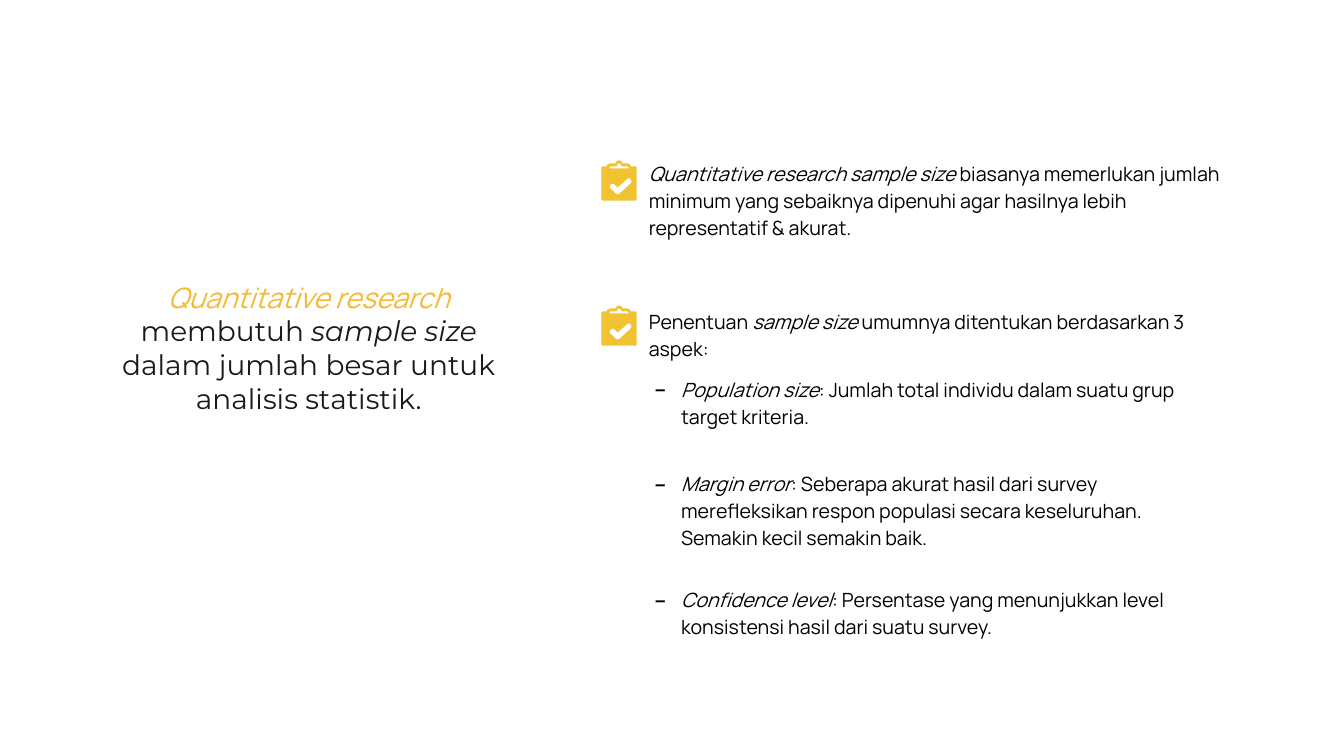
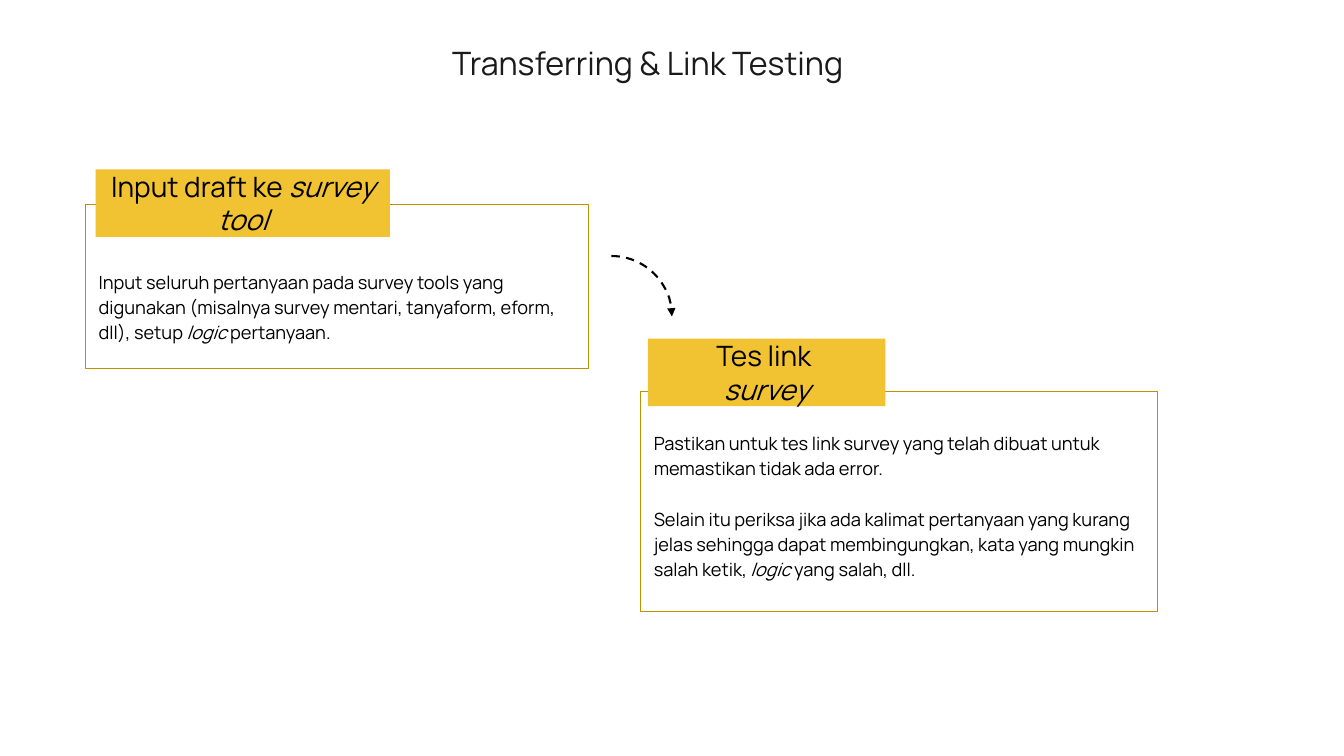
from dataclasses import dataclass

from lxml.etree import SubElement
from pptx import Presentation
from pptx.dml.color import RGBColor
from pptx.enum.dml import MSO_LINE
from pptx.enum.shapes import MSO_SHAPE
from pptx.enum.text import MSO_ANCHOR, MSO_AUTO_SIZE, PP_ALIGN
from pptx.oxml.ns import qn
from pptx.util import Pt

PX = 9144
SLIDE_SIZE = (1334, 750)


@dataclass(frozen=True)
class TextStyle:
    font: str
    size: int
    color: str
    align: PP_ALIGN = PP_ALIGN.LEFT
    spacing: float = 1.0


@dataclass(frozen=True)
class Theme:
    yellow: str = "F1C232"
    border: str = "BF9000"
    black: str = "000000"
    lead: TextStyle = TextStyle("Manrope", 20, "F5B932", PP_ALIGN.CENTER)
    statement: TextStyle = TextStyle("Montserrat", 20, "191919", PP_ALIGN.CENTER)
    heading: TextStyle = TextStyle("Manrope", 23, "1A1A1A", PP_ALIGN.CENTER)
    tag: TextStyle = TextStyle("Manrope", 20, "000000", PP_ALIGN.CENTER)
    body: TextStyle = TextStyle("Manrope", 14, "000000", spacing=1.15)
    panel: TextStyle = TextStyle("Manrope", 13, "000000", spacing=1.15)


THEME = Theme()

STATEMENT = [
    ("*Quantitative research*", THEME.lead),
    ("membutuh *sample size* dalam jumlah besar untuk analisis statistik.", THEME.statement),
]
STATEMENT_BOX = (103, 278, 407, 133)

POINTS = [
    ("*Quantitative research sample size* biasanya memerlukan jumlah minimum "
     "yang sebaiknya dipenuhi agar hasilnya lebih representatif & akurat.",
     (637, 150, 593, 94), (597, 159)),
    ("Penentuan *sample size *umumnya ditentukan berdasarkan 3 aspek:",
     (637, 297, 593, 67), (597, 303)),
]

ASPECTS = [
    ("*Population size*: Jumlah total individu dalam suatu grup target kriteria.", 0),
    ("*Margin error*: Seberapa akurat hasil dari survey merefleksikan respon "
     "populasi secara keseluruhan. Semakin kecil semakin baik.", 29),
    ("*Confidence level*: Persentase yang menunjukkan level konsistensi hasil "
     "dari suatu survey.", 25),
]
ASPECTS_BOX = (615, 364, 593, 276)
BULLET_INDENT = (54, -27)

CLIPBOARD = [
    [(17, 0), (15, 1), (14, 3), (9, 3), (6, 4), (5, 6), (1, 6), (0, 7), (0, 39),
     (1, 40), (34, 40), (35, 39), (35, 7), (34, 6), (29, 6), (28, 4), (25, 3),
     (21, 3), (20, 1)],
    [(17, 3), (19, 4), (20, 6), (26, 6), (27, 7), (27, 8), (8, 8), (8, 7), (9, 6),
     (15, 6), (16, 4)],
    [(26, 18), (28, 18), (29, 19), (30, 21), (29, 23), (18, 33), (16, 34), (14, 33),
     (9, 28), (8, 26), (9, 24), (11, 23), (13, 24), (16, 27), (25, 19)],
]

HEADING = "Transferring & Link Testing "
HEADING_BOX = (218, 43, 857, 38)

STEPS = [
    {
        "tag": ["Input draft ke *survey tool*"],
        "tag_box": (95, 168, 292, 67),
        "panel": ["Input seluruh pertanyaan pada survey tools yang digunakan (misalnya "
                  "survey mentari, tanyaform, eform, dll), setup *logic* pertanyaan."],
        "panel_box": (85, 203, 499, 163),
        "panel_top": 63,
    },
    {
        "tag": ["Tes link ", "*survey*"],
        "tag_box": (643, 336, 236, 67),
        "panel": ["Pastikan untuk tes link survey yang telah dibuat untuk memastikan "
                  "tidak ada error.",
                  "Selain itu periksa jika ada kalimat pertanyaan yang kurang jelas "
                  "sehingga dapat membingungkan, kata yang mungkin salah ketik, "
                  "*logic* yang salah, dll."],
        "panel_box": (636, 388, 513, 219),
        "panel_top": 38,
    },
]
PANEL_INSET = 13
PANEL_GAP = 18
ARROW_BOX = (547, 254, 120, 120)


def emu(box):
    return [length * PX for length in box]


def place(shape, box):
    shape.left, shape.top, shape.width, shape.height = emu(box)


def prepare_frame(shape, inset=0, top=None):
    frame = shape.text_frame
    frame.word_wrap = True
    frame.auto_size = MSO_AUTO_SIZE.NONE
    frame.vertical_anchor = MSO_ANCHOR.TOP
    frame.margin_left = frame.margin_right = frame.margin_bottom = inset * PX
    frame.margin_top = (inset if top is None else top) * PX
    return frame


def write_paragraph(paragraph, text, style, space_before=0):
    paragraph.alignment = style.align
    paragraph.line_spacing = style.spacing
    paragraph.space_before = Pt(space_before)
    for index, part in enumerate(text.split("*")):
        if part:
            run = paragraph.add_run()
            run.text = part
            run.font.name = style.font
            run.font.size = Pt(style.size)
            run.font.italic = index % 2 == 1
            run.font.color.rgb = RGBColor.from_string(style.color)


def write(frame, items):
    for index, item in enumerate(items):
        paragraph = frame.add_paragraph() if index else frame.paragraphs[0]
        write_paragraph(paragraph, *item)


def add_dash_bullet(paragraph):
    properties = paragraph._p.get_or_add_pPr()
    margin, indent = emu(BULLET_INDENT)
    properties.set("marL", str(margin))
    properties.set("indent", str(indent))
    color = SubElement(properties, qn("a:buClr"))
    SubElement(color, qn("a:srgbClr"), val=THEME.black)
    SubElement(properties, qn("a:buSzPct"), val="157000")
    SubElement(properties, qn("a:buFont"), typeface=THEME.body.font)
    SubElement(properties, qn("a:buChar"), char="-")


def set_title(slide, items, box):
    title = slide.shapes.title
    place(title, box)
    write(prepare_frame(title), items)


def add_clipboard(slide, position):
    outline, *holes = CLIPBOARD
    builder = slide.shapes.build_freeform(*outline[0], scale=float(PX))
    builder.add_line_segments(outline[1:], close=True)
    for hole in holes:
        builder.move_to(*hole[0])
        builder.add_line_segments(hole[1:], close=True)
    clipboard = builder.convert_to_shape(*emu(position))
    clipboard.shadow.inherit = False
    clipboard.fill.solid()
    clipboard.fill.fore_color.rgb = RGBColor.from_string(THEME.yellow)
    clipboard.line.fill.background()


def add_shape(slide, kind, box, fill=None, line=None, width=0.75):
    shape = slide.shapes.add_shape(kind, *emu(box))
    shape.shadow.inherit = False
    if fill:
        shape.fill.solid()
        shape.fill.fore_color.rgb = RGBColor.from_string(fill)
    else:
        shape.fill.background()
    if line:
        shape.line.color.rgb = RGBColor.from_string(line)
        shape.line.width = Pt(width)
    else:
        shape.line.fill.background()
    return shape


def build_sample_size(presentation):
    slide = presentation.slides.add_slide(presentation.slide_layouts[1])
    set_title(slide, STATEMENT, STATEMENT_BOX)
    for text, box, icon_position in POINTS:
        point = slide.shapes.add_textbox(*emu(box))
        write(prepare_frame(point, inset=7), [(text, THEME.body)])
        add_clipboard(slide, icon_position)
    aspects = slide.placeholders[1]
    place(aspects, ASPECTS_BOX)
    frame = prepare_frame(aspects, inset=7)
    for index, (text, gap) in enumerate(ASPECTS):
        paragraph = frame.add_paragraph() if index else frame.paragraphs[0]
        add_dash_bullet(paragraph)
        write_paragraph(paragraph, text, THEME.body, gap)


def build_link_testing(presentation):
    slide = presentation.slides.add_slide(presentation.slide_layouts[5])
    set_title(slide, [(HEADING, THEME.heading)], HEADING_BOX)
    for step in STEPS:
        panel = add_shape(slide, MSO_SHAPE.RECTANGLE, step["panel_box"], line=THEME.border)
        frame = prepare_frame(panel, PANEL_INSET, step["panel_top"])
        write(frame, [(text, THEME.panel, PANEL_GAP if index else 0)
                      for index, text in enumerate(step["panel"])])
        tag = add_shape(slide, MSO_SHAPE.RECTANGLE, step["tag_box"], fill=THEME.yellow)
        write(prepare_frame(tag), [(text, THEME.tag) for text in step["tag"]])
    arrow = add_shape(slide, MSO_SHAPE.ARC, ARROW_BOX, line=THEME.black, width=1.5)
    arrow.line.dash_style = MSO_LINE.DASH
    SubElement(arrow.line._get_or_add_ln(), qn("a:tailEnd"), type="triangle")


def main():
    presentation = Presentation()
    presentation.slide_width, presentation.slide_height = emu(SLIDE_SIZE)
    build_sample_size(presentation)
    build_link_testing(presentation)
    presentation.save("out.pptx")


if __name__ == "__main__":
    main()
